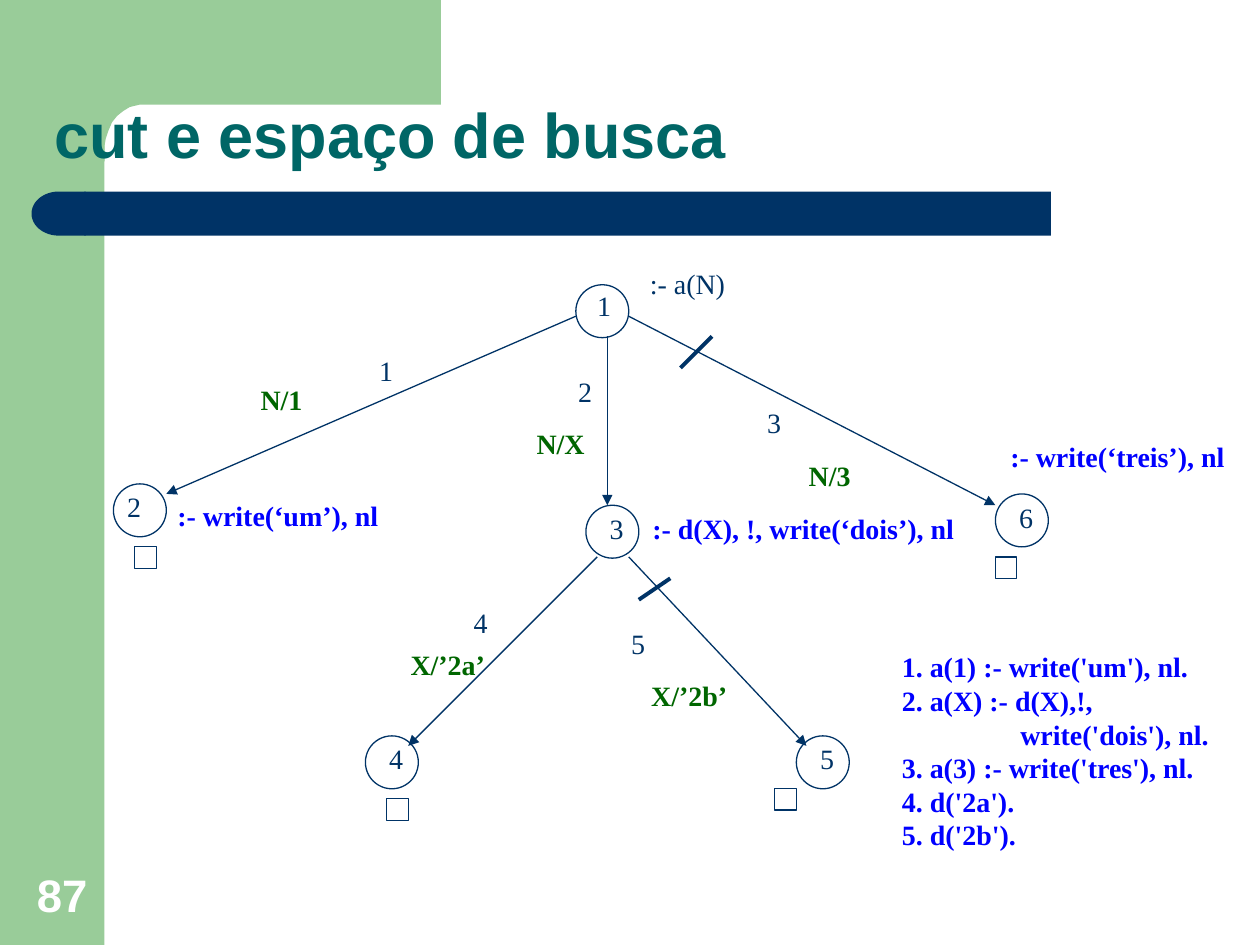
from pptx import Presentation
from pptx import util as u
from pptx.dml.color import RGBColor
from pptx.enum import shapes, text
from pptx.oxml.ns import qn
from lxml import etree

PX = 9144  # 100 px to the inch
NAVY, TEAL, SAGE = "003366", "006666", "99CC99"
GREEN, BLUE, WHITE = "006600", "0000FF", "FFFFFF"
SHAPE = shapes.MSO_SHAPE
SERIF = "Times New Roman"


def px(*nums):
    return [u.Emu(n * PX) for n in nums]


def rgb(code):
    return RGBColor.from_string(code)


def style(frame, size, font, color, bold):
    for para in frame.paragraphs:
        for run in para.runs:
            run.font.size = u.Pt(size)
            run.font.name = font
            run.font.bold = bold
            run.font.color.rgb = rgb(color)


def block(slide, kind, box, fill=None, line=None):
    shape = slide.shapes.add_shape(kind, *px(*box))
    paint(shape, fill, line)
    return shape


def paint(shape, fill, line):
    shape.shadow.inherit = False
    if fill:
        shape.fill.solid()
        shape.fill.fore_color.rgb = rgb(fill)
    else:
        shape.fill.background()
    if line:
        shape.line.color.rgb = rgb(line)
        shape.line.width = u.Pt(0.75)
    else:
        shape.line.fill.background()


def label(slide, box, words, color=NAVY, bold=False):
    frame = slide.shapes.add_textbox(*px(*box)).text_frame
    frame.word_wrap = False
    frame.auto_size = text.MSO_AUTO_SIZE.SHAPE_TO_FIT_TEXT
    frame.text = words
    style(frame, 16, SERIF, color, bold)
    return frame


def link(slide, start, end, width, arrow=False):
    line = slide.shapes.add_connector(
        shapes.MSO_CONNECTOR.STRAIGHT, *px(*start, *end))
    line.line.color.rgb = rgb(NAVY)
    line.line.width = u.Pt(width)
    props = line._element.spPr
    if arrow:
        etree.SubElement(props.find(qn("a:ln")), qn("a:tailEnd"), type="triangle")
    etree.SubElement(props, qn("a:effectLst"))


def frame(slide, box):
    """Draw the green side band with its corner, and the navy bar."""
    x, y, wide, high = box
    block(slide, SHAPE.RECTANGLE, (x, y, 83, high), SAGE)
    edge = [(350, 0), (350, 83), (111, 83), (103, 85), (98, 88), (93, 92),
            (89, 97), (86, 104), (84, 110), (83, 116), (83, 128), (50, 128), (50, 0)]
    first, *rest = [(x + a, y + b) for a, b in edge]
    path = slide.shapes.build_freeform(*first, scale=PX)
    path.add_line_segments(rest, close=True)
    paint(path.convert_to_shape(), SAGE, None)
    block(slide, SHAPE.RECTANGLE, (x + 67, y + 152, 767, 35), NAVY)
    cap = block(slide, SHAPE.FLOWCHART_DELAY, (x + 25, y + 152, 43, 35), NAVY)
    cap.rotation = 180


def number(slide, box, words):
    area = slide.shapes.add_textbox(*px(*box)).text_frame
    area.word_wrap = True
    area.vertical_anchor = text.MSO_ANCHOR.BOTTOM
    area.text = words
    area.paragraphs[0].alignment = text.PP_ALIGN.CENTER
    style(area, 26, "Arial", WHITE, True)


def title(slide, box, words):
    head = slide.shapes.title
    head.left, head.top, head.width, head.height = px(*box)
    area = head.text_frame
    area.text = words
    area.vertical_anchor = text.MSO_ANCHOR.BOTTOM
    area.paragraphs[0].alignment = text.PP_ALIGN.LEFT
    area.paragraphs[0].line_spacing = 0.9
    style(area, 36, "Arial", TEAL, True)


def tree(slide, box):
    """Draw the search tree: nodes, branches, goals, end marks and cuts."""
    x, y = box[:2]

    def at(a, b):
        return x + a, y + b

    # left, top, shift of the digit
    nodes = [(367, 19, 7, -2), (0, 177, 1, 0), (375, 194, 9, 0),
             (200, 377, 9, 0), (542, 377, 9, 0), (700, 185, 9, 0)]
    for num, (a, b, dx, dy) in enumerate(nodes, 1):
        block(slide, SHAPE.OVAL, (*at(a, b), 42, 42), line=NAVY)
        label(slide, (*at(a + dx, b + dy), 31, 37), str(num))

    # start, end, place of the number, binding with its place and width
    edges = [
        ((367, 44), (42, 185), (201, 69), "N/1", (107, 92), 53),
        ((392, 60), (392, 194), (359, 85), "N/X", (326, 127), 58),
        ((409, 44), (700, 194), (509, 110), "N/3", (542, 152), 53),
        ((384, 235), (234, 385), (276, 269), "X/’2a’", (226, 302), 79),
        ((409, 235), (550, 385), (401, 285), "X/’2b’", (417, 327), 80),
    ]
    for num, (start, end, spot, bind, place, wide) in enumerate(edges, 1):
        link(slide, at(*start), at(*end), 0.75, arrow=True)
        label(slide, (*at(*spot), 31, 37), str(num))
        label(slide, (*at(*place), wide, 37), bind, GREEN, True)

    label(slide, (*at(416, 0), 84, 37), ":- a(N)")
    goals = [(":- write(‘um’), nl", 41, 184, 184),
             (":- d(X), !, write(‘dois’), nl", 418, 194, 264),
             (":- write(‘treis’), nl", 702, 137, 194)]
    for words, a, b, wide in goals:
        label(slide, (*at(a, b), wide, 37), words, BLUE, True)

    for spot in [(17, 227), (217, 427), (525, 419), (700, 235)]:
        block(slide, SHAPE.RECTANGLE, (*at(*spot), 17, 17), line=NAVY)
    for start, end in [((442, 252), (417, 269)), ((475, 60), (450, 85))]:
        link(slide, at(*start), at(*end), 2.25)


def rules(slide, box):
    lines = ["1. a(1) :- write('um'), nl.", "2. a(X) :- d(X),!,",
             "write('dois'), nl.", "3. a(3) :- write('tres'), nl.",
             "4. d('2a').", "5. d('2b')."]
    area = label(slide, box, "\n".join(lines), BLUE, True)
    area.paragraphs[2]._p.get_or_add_pPr().set("marL", str(94 * PX))


def main():
    deck = Presentation()
    deck.slide_width, deck.slide_height = px(1000, 750)
    slide = deck.slides.add_slide(deck.slide_layouts[5])
    frame(slide, (0, 0, 1000, 750))
    number(slide, (8, 683, 83, 53), "87")
    title(slide, (33, 33, 934, 109), "cut e espaço de busca")
    # bring the title in front of the frame
    slide.shapes._spTree.append(slide.shapes.title._element)
    tree(slide, (90, 207, 892, 444))
    rules(slide, (706, 511, 264, 170))
    deck.save("out.pptx")


if __name__ == "__main__":
    main()
